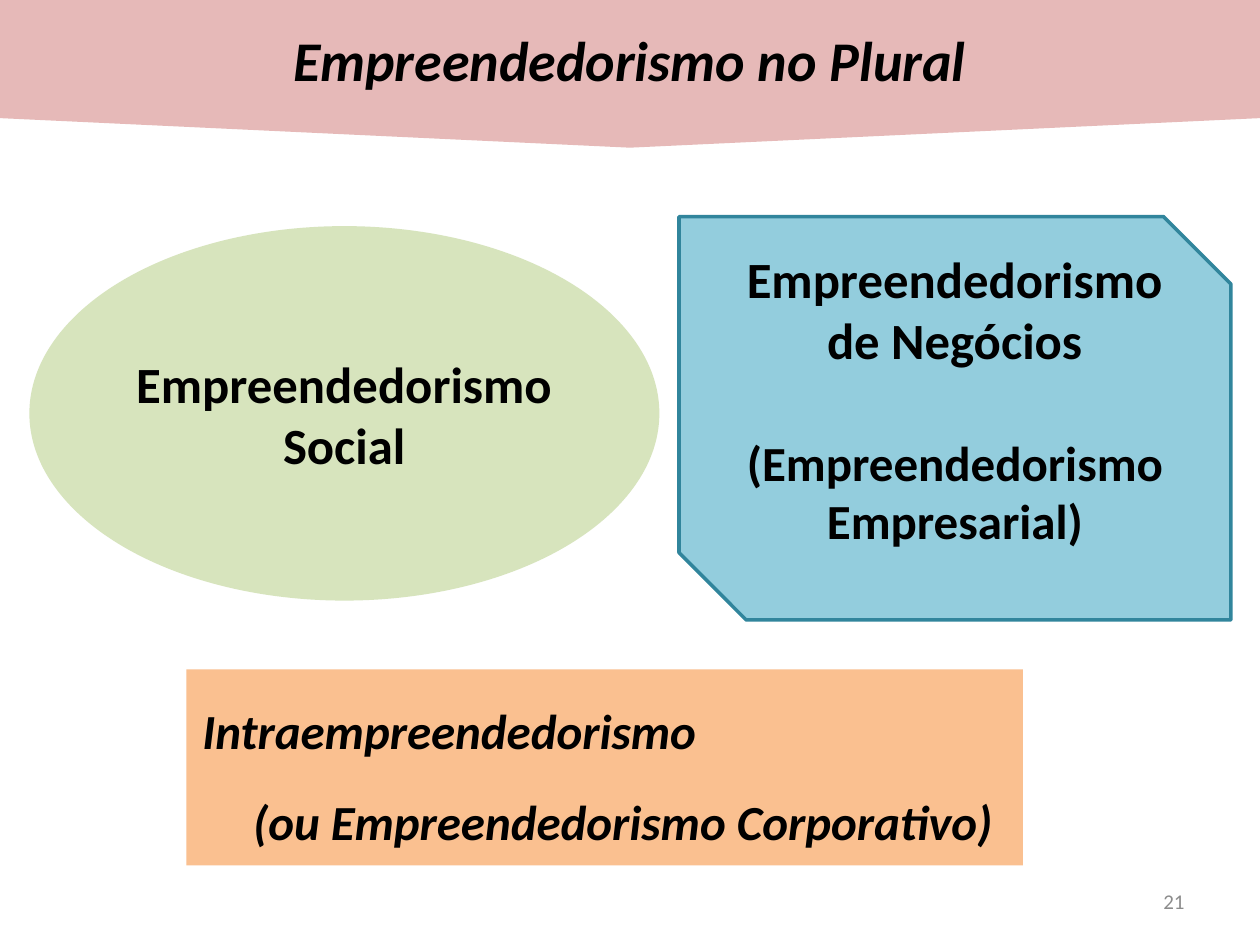
from dataclasses import dataclass

from pptx import Presentation
from pptx.dml.color import RGBColor
from pptx.enum.shapes import MSO_SHAPE
from pptx.enum.text import MSO_ANCHOR, PP_ALIGN
from pptx.util import Pt

LEFT, CENTER, RIGHT = PP_ALIGN.LEFT, PP_ALIGN.CENTER, PP_ALIGN.RIGHT
TOP, MIDDLE = MSO_ANCHOR.TOP, MSO_ANCHOR.MIDDLE
BANNER = MSO_SHAPE.FLOWCHART_OFFPAGE_CONNECTOR
ELLIPSE, RECT = MSO_SHAPE.OVAL, MSO_SHAPE.RECTANGLE
SNIPPED = MSO_SHAPE.SNIP_2_DIAG_RECTANGLE
FONT = "Calibri"
COLORS = {
    "text": "000000",
    "number": "8C8C8C",
    "banner": "E6B9B8",
    "social": "D7E4BD",
    "business": "93CDDD",
    "business_line": "31859C",
    "intra": "FAC090",
}


@dataclass
class Line:
    text: str
    size: float
    bold: bool = True
    italic: bool = False
    align: PP_ALIGN = CENTER
    color: str = "text"
    before: float = 0
    indent: float = 0
    spacing: float = 1.0


@dataclass
class Panel:
    kind: MSO_SHAPE
    box: tuple[float, float, float, float]
    fill: str
    lines: tuple[Line, ...] = ()
    outline: str = ""
    anchor: MSO_ANCHOR = MIDDLE
    top: float = 3.6
    bottom: float = 3.6


PANELS = [
    Panel(RECT, (106.5, 382.5, 478, 112), "intra", (
        Line("Intraempreendedorismo", 28, italic=True, align=LEFT,
             indent=2, spacing=1.4),
        Line("(ou Empreendedorismo Corporativo)", 28, italic=True,
             align=LEFT, before=4.8, indent=31, spacing=1.4),
    ), anchor=TOP, top=4.6),
    Panel(SNIPPED, (388, 123.8, 315.3, 230.5), "business", (
        Line("Empreendedorismo de Negócios", 29),
        Line("(Empreendedorismo Empresarial)", 28, before=35.4),
    ), outline="business_line", bottom=25.6),
    Panel(ELLIPSE, (16.8, 129.2, 360, 214), "social", (
        Line("Empreendedorismo Social", 29),
    )),
    Panel(BANNER, (0, 0, 720, 84.4), "banner"),
]


def rgb(name: str) -> RGBColor:
    return RGBColor.from_string(COLORS[name])


def write_lines(tf, lines: tuple[Line, ...], anchor: MSO_ANCHOR = MIDDLE) -> None:
    tf.word_wrap = True
    tf.vertical_anchor = anchor
    for i, line in enumerate(lines):
        p = tf.add_paragraph() if i else tf.paragraphs[0]
        p.text = line.text
        p.alignment = line.align
        p.line_spacing = line.spacing
        p.space_before = Pt(line.before)
        if line.indent:
            p._p.get_or_add_pPr().set("marL", str(Pt(line.indent)))
        font = p.font
        font.name, font.size = FONT, Pt(line.size)
        font.bold, font.italic = line.bold, line.italic
        font.color.rgb = rgb(line.color)


def add_panel(s, panel: Panel) -> None:
    sp = s.shapes.add_shape(panel.kind, *map(Pt, panel.box))
    sp.shadow.inherit = False
    sp.fill.solid()
    sp.fill.fore_color.rgb = rgb(panel.fill)
    if panel.outline:
        sp.line.color.rgb = rgb(panel.outline)
        sp.line.width = Pt(2)
    else:
        sp.line.fill.background()
    tf = sp.text_frame
    tf.margin_top, tf.margin_bottom = Pt(panel.top), Pt(panel.bottom)
    write_lines(tf, panel.lines, panel.anchor)


def add_title(s, line: Line) -> None:
    title = s.shapes.title
    title.left, title.top, title.width, title.height = map(Pt, (0, 0, 720, 67.5))
    write_lines(title.text_frame, (line,))
    s.shapes._spTree.append(title._element)


def main() -> None:
    prs = Presentation()
    prs.slide_width, prs.slide_height = Pt(720), Pt(540)
    s = prs.slides.add_slide(prs.slide_layouts[5])
    for panel in PANELS:
        add_panel(s, panel)
    add_title(s, Line("Empreendedorismo no Plural", 32, italic=True))
    number = s.shapes.add_textbox(*map(Pt, (516, 500.5, 168, 28.8)))
    write_lines(number.text_frame,
                (Line("21", 12, bold=False, align=RIGHT, color="number"),))
    prs.save("out.pptx")


if __name__ == "__main__":
    main()
